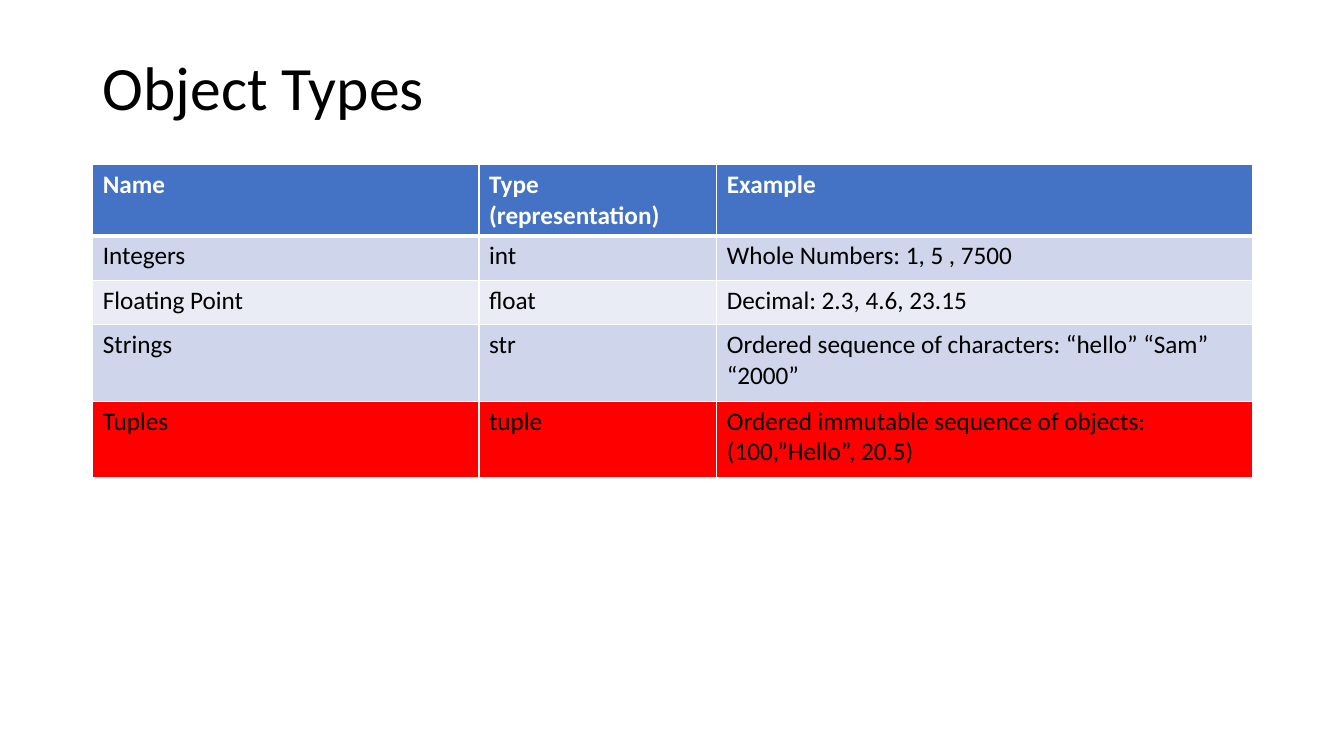
from dataclasses import dataclass

from lxml import etree
from pptx import Presentation
from pptx import util as u
from pptx.dml.color import RGBColor
from pptx.enum import text
from pptx.oxml import ns

FONT = "Calibri"
WHITE = RGBColor(0xFF, 0xFF, 0xFF)
BLACK = RGBColor(0x00, 0x00, 0x00)
BLUE = RGBColor(0x44, 0x72, 0xC4)
BAND_DARK = RGBColor(0xCF, 0xD5, 0xEA)
BAND_LIGHT = RGBColor(0xE9, 0xEB, 0xF5)
RED = RGBColor(0xFF, 0x00, 0x00)

LEFT, WIDTH = 0.92, 11.5
COLUMN_WIDTHS = (3.83, 2.36, 5.31)
THIN, THICK = 1, 3


@dataclass(frozen=True)
class TypeRow:
    cells: tuple[str, str, str]
    height: float
    fill: RGBColor
    color: RGBColor = BLACK
    bold: bool = False
    top: float = THIN
    bottom: float = THIN


ROWS = (
    TypeRow(("Name", "Type (representation)", "Example"), 0.7, BLUE, WHITE, bold=True, bottom=THICK),
    TypeRow(("Integers", "int", "Whole Numbers: 1, 5 , 7500"), 0.44, BAND_DARK, top=THICK),
    TypeRow(("Floating Point", "float", "Decimal: 2.3, 4.6, 23.15"), 0.44, BAND_LIGHT),
    TypeRow(("Strings", "str", "Ordered sequence of characters: “hello” “Sam” “2000”"), 0.76, BAND_DARK),
    TypeRow(("Tuples", "tuple", "Ordered immutable sequence of objects: (100,”Hello”, 20.5)"), 0.76, RED),
)


def add_run(paragraph, wording: str, size: float, color: RGBColor, bold: bool = False) -> None:
    run = paragraph.add_run()
    run.text = wording
    run.font.name = FONT
    run.font.size = u.Pt(size)
    run.font.bold = bold
    run.font.color.rgb = color


def set_borders(cell, row: TypeRow) -> None:
    properties = cell._tc.get_or_add_tcPr()
    widths = {"lnL": THIN, "lnR": THIN, "lnT": row.top, "lnB": row.bottom}
    for side, width in widths.items():
        line = etree.SubElement(properties, ns.qn(f"a:{side}"), w=str(u.Pt(width)))
        fill = etree.SubElement(line, ns.qn("a:solidFill"))
        etree.SubElement(fill, ns.qn("a:srgbClr"), val=str(WHITE))


def add_types_table(slide) -> None:
    height = sum(row.height for row in ROWS)
    table = slide.shapes.add_table(
        len(ROWS), len(COLUMN_WIDTHS),
        u.Inches(LEFT), u.Inches(1.63), u.Inches(WIDTH), u.Inches(height),
    ).table
    for column, width in zip(table.columns, COLUMN_WIDTHS):
        column.width = u.Inches(width)
    for table_row, row in zip(table.rows, ROWS):
        table_row.height = u.Inches(row.height)
        for cell, wording in zip(table_row.cells, row.cells):
            set_borders(cell, row)
            cell.fill.solid()
            cell.fill.fore_color.rgb = row.fill
            add_run(cell.text_frame.paragraphs[0], wording, 18, row.color, row.bold)


def add_title(slide, wording: str) -> None:
    box = slide.shapes.add_textbox(u.Inches(LEFT), u.Inches(0.4), u.Inches(WIDTH), u.Inches(1))
    frame = box.text_frame
    frame.word_wrap = True
    frame.vertical_anchor = text.MSO_ANCHOR.MIDDLE
    paragraph = frame.paragraphs[0]
    paragraph.line_spacing = 0.9
    add_run(paragraph, wording, 44, BLACK)


def main() -> None:
    presentation = Presentation()
    presentation.slide_width = u.Inches(13.33)
    presentation.slide_height = u.Inches(7.5)
    slide = presentation.slides.add_slide(presentation.slide_layouts[6])
    add_types_table(slide)
    add_title(slide, "Object Types")
    presentation.save("out.pptx")


if __name__ == "__main__":
    main()
